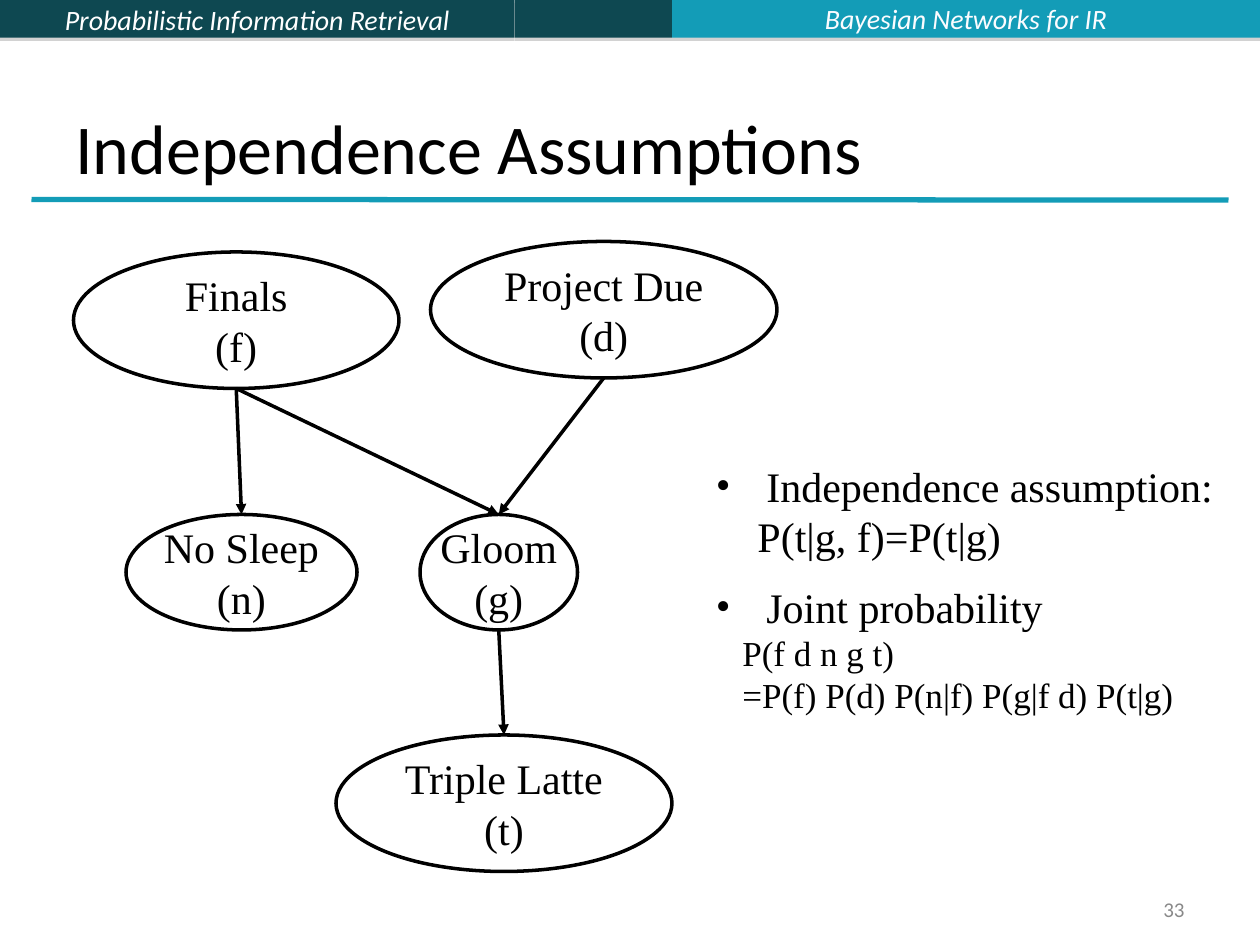
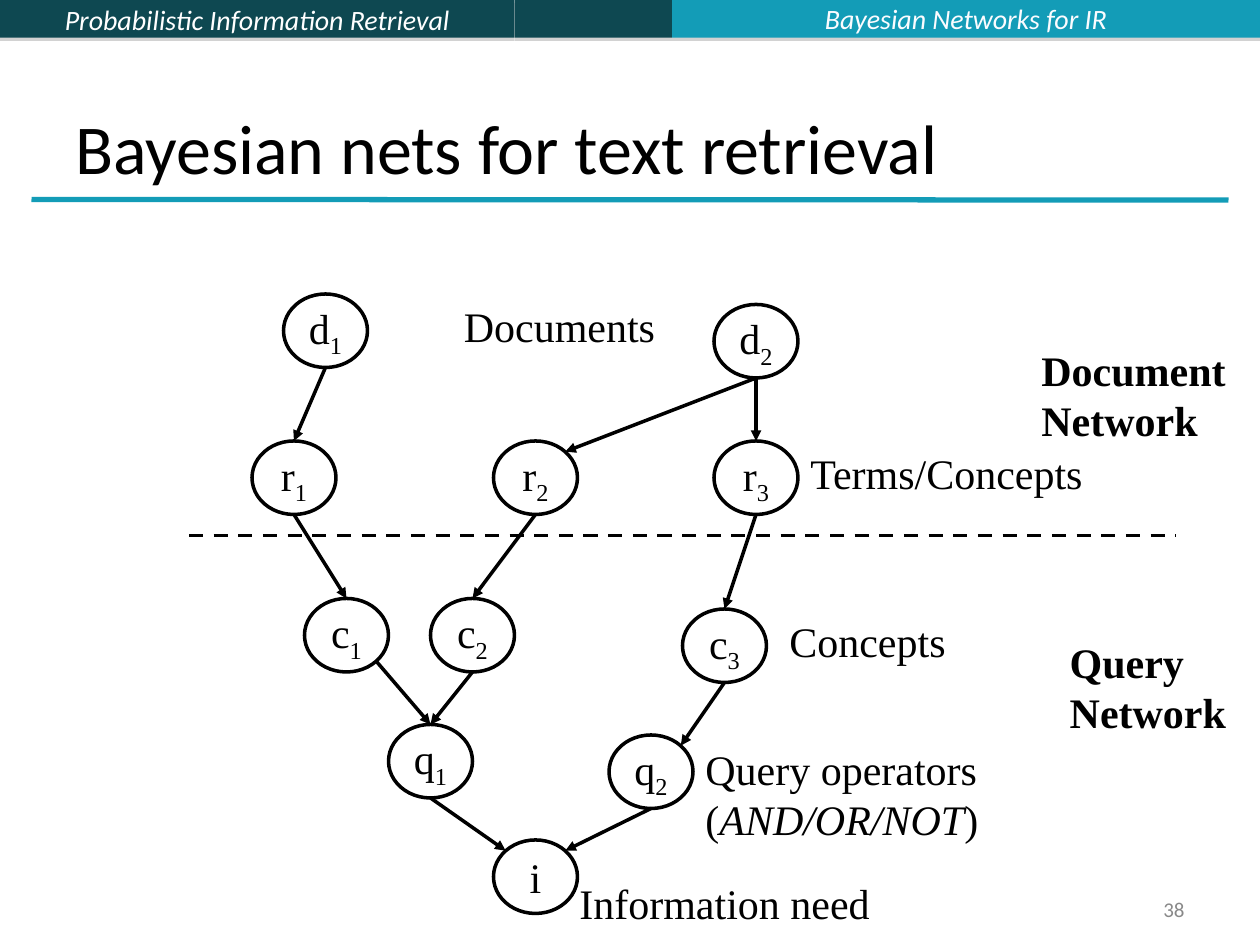
"""Build two slides about Bayesian networks for information retrieval."""
from lxml import etree
from pptx import Presentation
from pptx.dml.color import RGBColor
from pptx.enum.dml import MSO_LINE
from pptx.enum.shapes import MSO_CONNECTOR, MSO_SHAPE
from pptx.enum.text import MSO_ANCHOR, PP_ALIGN
from pptx.oxml.ns import qn
from pptx.util import Inches, Pt

OVAL, RECTANGLE, STRAIGHT = MSO_SHAPE.OVAL, MSO_SHAPE.RECTANGLE, MSO_CONNECTOR.STRAIGHT
LEFT, CENTER, RIGHT = PP_ALIGN.LEFT, PP_ALIGN.CENTER, PP_ALIGN.RIGHT
TOP, MIDDLE, BOTTOM = MSO_ANCHOR.TOP, MSO_ANCHOR.MIDDLE, MSO_ANCHOR.BOTTOM
DASH = MSO_LINE.DASH
BLACK, WHITE, PALE, GRAY = "000000", "FFFFFF", "FBFCFF", "898989"
DARK_TEAL, TEAL, SHADOW = "0E4851", "139CB7", "808080"
SANS, SERIF = "Calibri", "Times New Roman"
ITALIC, SUBSCRIPT = ("i", "1"), ("baseline", "-25000")

deck = Presentation()
deck.slide_width, deck.slide_height = Inches(10), Inches(7.5)
CELL = deck.slide_width / 120


def paint(fill, color):
    fill.solid()
    fill.fore_color.rgb = RGBColor.from_string(color)


def write(shape, text, size=24, font=SERIF, color=BLACK, align=LEFT, anchor=TOP,
          bold=False, italic=False, wrap=True, marked=ITALIC):
    frame = shape.text_frame
    frame.word_wrap, frame.vertical_anchor = wrap, anchor
    pieces = text.split("*")
    frame.text = pieces[0]
    for piece in pieces[1:]:
        frame.paragraphs[-1].add_run().text = piece
    for para in frame.paragraphs:
        para.alignment = align
        for span in para.runs:
            span.font.name, span.font.size = font, Pt(size)
            span.font.bold, span.font.italic = bold, italic
            paint(span.font.fill, color)
    for span in frame.paragraphs[-1].runs[1::2]:
        span._r.get_or_add_rPr().set(*marked)


BANDS = [(0, 49, DARK_TEAL, "Probabilistic Information Retrieval"),
         (49, 15, DARK_TEAL, ""), (64, 56, TEAL, "")]
SIDES = {"top": (0, -1), "bottom": (0, 1), "upper left": (-0.71, -0.71),
         "upper right": (0.71, -0.71), "lower right": (0.71, 0.71)}

habits = {
    "title": "Independence Assumptions", "number": "33",
    "nodes": {"g": (40, 49, 15, 11, "Gloom\n(g)"),
              "f": (7, 24, 31, 13, "Finals\n(f)"),
              "d": (41, 23, 33, 13, "Project Due\n(d)"),
              "n": (12, 49, 22, 11, "No Sleep\n(n)"),
              "t": (32, 70, 32, 13, "Triple Latte\n(t)")},
    "arrows": [("f", "n", "bottom", "top"), ("f", "g", "bottom", "top"),
               ("d", "g", "bottom", "top"), ("g", "t", "bottom", "top")],
    "labels": [], "dividers": [],
}

circles = {"d1": (27, 28), "d2": (68, 29), "r1": (24, 42), "r2": (47, 42),
           "r3": (68, 42), "c1": (29, 57), "c2": (41, 57), "c3": (65, 58),
           "q1": (37, 69), "q2": (58, 70), "i": (47, 80)}
retrieval = {
    "title": "Bayesian nets for text retrieval", "number": "38",
    "nodes": {name: (*place, 8, 7, f"{name[0]}*{name[1]}*" if name[1:] else name)
              for name, place in circles.items()},
    "arrows": [("d1", "r1", "bottom", "top"), ("r1", "c1", "bottom", "top"),
               ("d2", "r3", "bottom", "top"), ("d2", "r2", "bottom", "upper right"),
               ("r3", "c3", "bottom", "top"), ("r2", "c2", "bottom", "top"),
               ("c1", "q1", "lower right", "top"), ("c2", "q1", "bottom", "top"),
               ("c3", "q2", "bottom", "upper right"),
               ("q1", "i", "bottom", "upper left"),
               ("q2", "i", "bottom", "upper right")],
    "labels": [(98, 32.2, 22, 10.8, "Document\nNetwork", True),
               (100.7, 60, 19, 10.8, "Query\nNetwork", True),
               (43, 28, 23, 6, "Documents", False),
               (76, 42, 31, 6, "Terms/Concepts", False),
               (74, 58, 20, 6, "Concepts", False),
               (66, 70.2, 32, 10.8, "Query operators\n(*AND/OR/NOT*)", False),
               (54, 83, 34, 6, "Information need", False)],
    "dividers": [(18, 51, 112, 51, BLACK, 2, DASH, False)],
}

pages = []
for topic in (habits, retrieval):
    page = deck.slides.add_slide(deck.slide_layouts[6])
    pages.append(page)
    for left, width, color, heading in BANDS:
        band = page.shapes.add_shape(RECTANGLE, *[int(n * CELL) for n in (left, 0, width, 3.6)])
        paint(band.fill, color)
        band.line.fill.background()
        band.shadow.inherit = False
        effects = band.element.spPr.find(qn("a:effectLst"))
        shade = etree.SubElement(effects, qn("a:outerShdw"), dist=str(Pt(1.8)), dir="5400000")
        tint = etree.SubElement(shade, qn("a:srgbClr"), val=SHADOW)
        etree.SubElement(tint, qn("a:alpha"), val="35000")
        if heading:
            write(band, heading, 16, SANS, WHITE, CENTER, MIDDLE, italic=True)

    furniture = [
        (86, 85, 28, 3.2, topic["number"], 12, GRAY, RIGHT, MIDDLE, False),
        (6, 3.5, 108, 15, topic["title"], 40, BLACK, LEFT, BOTTOM, False),
        (64, -0.5, 56, 4.4, "Bayesian Networks for IR", 16, PALE, CENTER, MIDDLE, True)]
    for *place, text, size, color, align, anchor, italic in furniture:
        box = page.shapes.add_textbox(*[int(n * CELL) for n in place])
        write(box, text, size, SANS, color, align, anchor, italic=italic)

    for *place, text in topic["nodes"].values():
        node = page.shapes.add_shape(OVAL, *[int(n * CELL) for n in place])
        node.shadow.inherit = False
        paint(node.fill, WHITE)
        paint(node.line.fill, BLACK)
        node.line.width = Pt(2)
        write(node, text, align=CENTER, anchor=MIDDLE, wrap=False, marked=SUBSCRIPT)

    lines = [(3, 19, 117, 19.05, TEAL, 3, None, False)] + topic["dividers"]
    for source, target, leave, arrive in topic["arrows"]:
        ends = []
        for name, side in ((source, leave), (target, arrive)):
            left, top, width, height, text = topic["nodes"][name]
            across, down = SIDES[side]
            ends += [left + width / 2 * (1 + across), top + height / 2 * (1 + down)]
        lines.append((*ends, BLACK, 2, None, True))
    for *ends, color, weight, dash, has_head in lines:
        line = page.shapes.add_connector(STRAIGHT, *[int(n * CELL) for n in ends])
        paint(line.line.fill, color)
        line.line.width = Pt(weight)
        if dash:
            line.line.dash_style = dash
        if has_head:
            etree.SubElement(line.element.spPr.find(qn("a:ln")), qn("a:tailEnd"), type="triangle")
        etree.SubElement(line.element.spPr, qn("a:effectLst"))

    for *place, text, bold in topic["labels"]:
        label = page.shapes.add_textbox(*[int(n * CELL) for n in place])
        write(label, text, bold=bold)

FORMULAS = [("Independence assumption:", 24, 0.4, True, 1),
            ("P(t|g, f)=P(t|g)", 24, 0.33, False, 1),
            ("Joint probability", 24, 0.4, True, 1.4),
            ("P(f d n g t)", 20, 0.21, False, 1),
            ("=P(f) P(d) P(n|f) P(g|f d) P(t|g)", 20, 0.21, False, 1)]
notes = pages[0].shapes.add_textbox(*[int(n * CELL) for n in (67, 43.2, 50, 25.6)])
write(notes, "\n".join(row[0] for row in FORMULAS), anchor=MIDDLE)
for para, (text, size, indent, has_bullet, spacing) in zip(notes.text_frame.paragraphs, FORMULAS):
    para.line_spacing = spacing
    para.runs[0].font.size = Pt(size)
    settings = para._p.get_or_add_pPr()
    settings.set("marL", str(Inches(indent)))
    if has_bullet:
        settings.set("indent", str(-Inches(indent)))
        etree.SubElement(settings, qn("a:buFont"), typeface=SERIF)
        etree.SubElement(settings, qn("a:buChar"), char="•")

deck.save("out.pptx")
